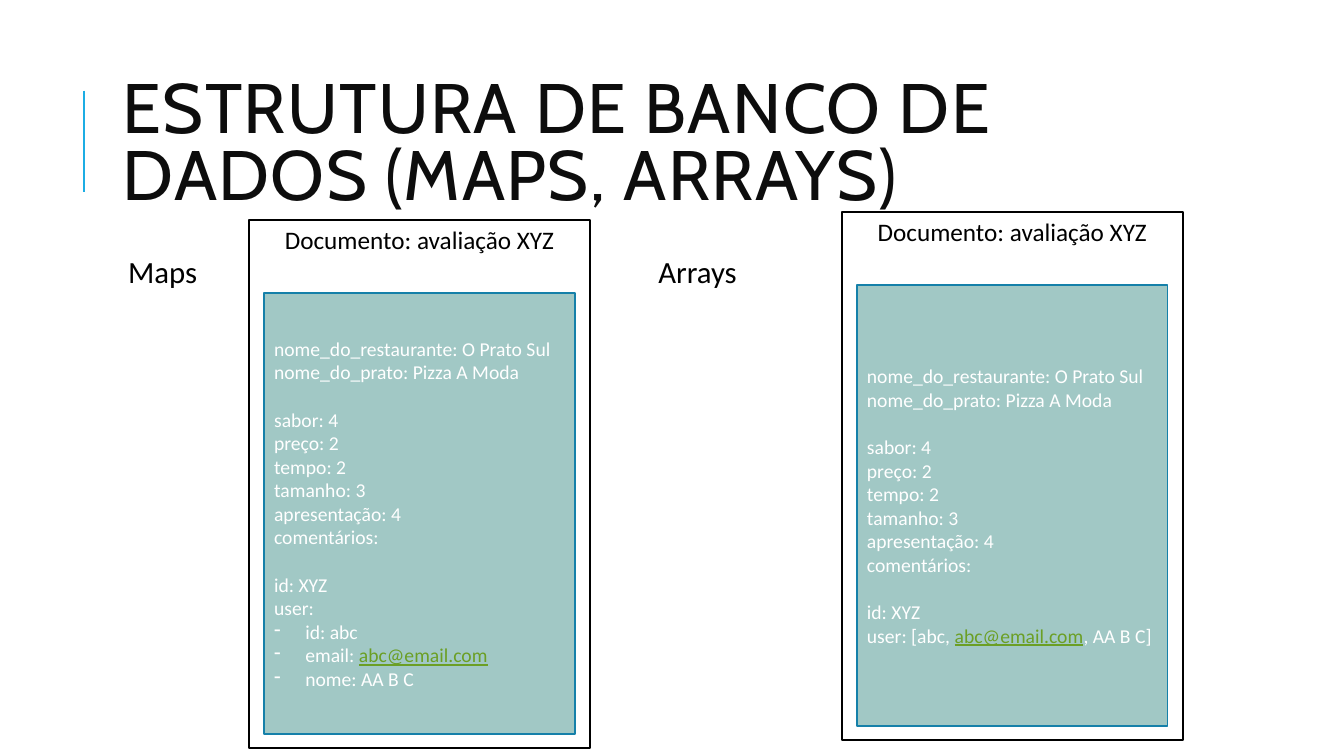
from pptx import Presentation
from pptx.dml.color import RGBColor
from pptx.enum.shapes import MSO_CONNECTOR as Connector, MSO_SHAPE as Shape
from pptx.enum.text import MSO_ANCHOR as Anchor, PP_ALIGN as Align
from pptx.oxml.ns import qn
from pptx.util import Inches, Pt
from lxml.etree import SubElement

EMAIL = "abc@email.com"


def color(hex_text):
    return RGBColor.from_string(hex_text)


class SlideBuilder:
    title_font, body_font = "Cabin", "Calibri"
    ink, title_ink, white = "000000", "0D0D0D", "FFFFFF"
    accent, panel_fill, panel_line, link = "1CADE4", "A1C8C5", "1580A9", "6B9F25"
    record_size, blank_line = 14, 17

    def __init__(self, deck):
        self.slide = deck.slides.add_slide(deck.slide_layouts[6])

    def style(self, span, size, hex_text, font=None):
        span.font.size = Pt(size)
        span.font.name = font or self.body_font
        span.font.color.rgb = color(hex_text)

    def text(self, left, top, width, height, words, size, inset=0.05):
        box = self.slide.shapes.add_textbox(
            Inches(left), Inches(top), Inches(width), Inches(height))
        frame = box.text_frame
        frame.word_wrap = True
        frame.margin_left = frame.margin_right = Inches(inset)
        frame.text = words
        para = frame.paragraphs[0]
        para.line_spacing = 0.9
        self.style(para.runs[0], size, self.ink)
        return frame

    def title(self, left, top, width, height, words):
        frame = self.text(left, top, width, height, words, 50, inset=0.1)
        frame.vertical_anchor = Anchor.MIDDLE
        para = frame.paragraphs[0]
        para.line_spacing = 0.8
        span = para.runs[0]
        self.style(span, 50, self.title_ink, self.title_font)
        span.font._element.set("spc", "100")

    def rule(self, x, top, bottom):
        line = self.slide.shapes.add_connector(
            Connector.STRAIGHT, Inches(x), Inches(top), Inches(x), Inches(bottom))
        line.line.color.rgb = color(self.accent)
        line.line.width = Pt(1.5)
        SubElement(line._element.spPr, qn("a:effectLst"))

    def rectangle(self, left, top, width, height, line, fill=None):
        box = self.slide.shapes.add_shape(
            Shape.RECTANGLE, Inches(left), Inches(top), Inches(width), Inches(height))
        box.shadow.inherit = False
        box.line.color.rgb = color(line)
        box.line.width = Pt(1.25)
        if fill:
            box.fill.solid()
            box.fill.fore_color.rgb = color(fill)
        else:
            box.fill.background()
        return box.text_frame

    def bullet(self, para):
        props = para._p.get_or_add_pPr()
        props.set("marL", str(Inches(0.31)))
        props.set("indent", str(-Inches(0.31)))
        SubElement(props, qn("a:buChar")).set("char", "-")

    def record(self, frame, groups, bullets):
        frame.word_wrap = True
        frame.vertical_anchor = Anchor.MIDDLE
        lines = [(line, number > 0 and line == group[0])
                 for number, group in enumerate(groups) for line in group]
        lines += [(line, False) for line in bullets]
        for number, (line, starts_group) in enumerate(lines):
            para = frame.add_paragraph() if number else frame.paragraphs[0]
            para.alignment = Align.LEFT
            if starts_group:
                para.space_before = Pt(self.blank_line)
            if line in bullets:
                self.bullet(para)
            for piece in filter(None, line.partition(EMAIL)):
                span = para.add_run()
                span.text = piece
                is_link = piece == EMAIL
                self.style(span, self.record_size, self.link if is_link else self.white)
                span.font.underline = is_link

    def document(self, left, top, heading, groups, bullets=()):
        panel = self.rectangle(left + 0.15, top + 0.73, 3.08, 4.37,
                               self.panel_line, self.panel_fill)
        self.record(panel, groups, bullets)
        frame = self.rectangle(left, top, 3.38, 5.24, self.ink)
        frame.vertical_anchor = Anchor.TOP
        frame.text = heading
        para = frame.paragraphs[0]
        para.alignment = Align.CENTER
        self.style(para.runs[0], 18, self.ink)


deck = Presentation()
deck.slide_width, deck.slide_height = Inches(13.33), Inches(7.5)
page = SlideBuilder(deck)

# Title with its accent rule
page.rule(0.83, 0.9, 1.9)
page.title(1.12, 0.64, 10.63, 1.64, "ESTRUTURA DE BANCO DE DADOS (MAPS, ARRAYS)")

# Column labels
for label_left, label in ((1.22, "Maps"), (6.48, "Arrays")):
    page.text(label_left, 2.5, 1.2, 0.45, label, 22)

# Review documents: the user as a map, then as an array
heading = "Documento: avaliação XYZ"
dish = ["nome_do_restaurante: O Prato Sul", "nome_do_prato: Pizza A Moda"]
ratings = ["sabor: 4", "preço: 2", "tempo: 2", "tamanho: 3", "apresentação: 4",
           "comentários:"]
page.document(2.47, 2.18, heading, [dish, ratings, ["id: XYZ", "user:"]],
              ["id: abc", f"email: {EMAIL}", "nome: AA B C"])
page.document(8.35, 2.1, heading,
              [dish, ratings, ["id: XYZ", f"user: [abc, {EMAIL}, AA B C]"]])

deck.save("out.pptx")
